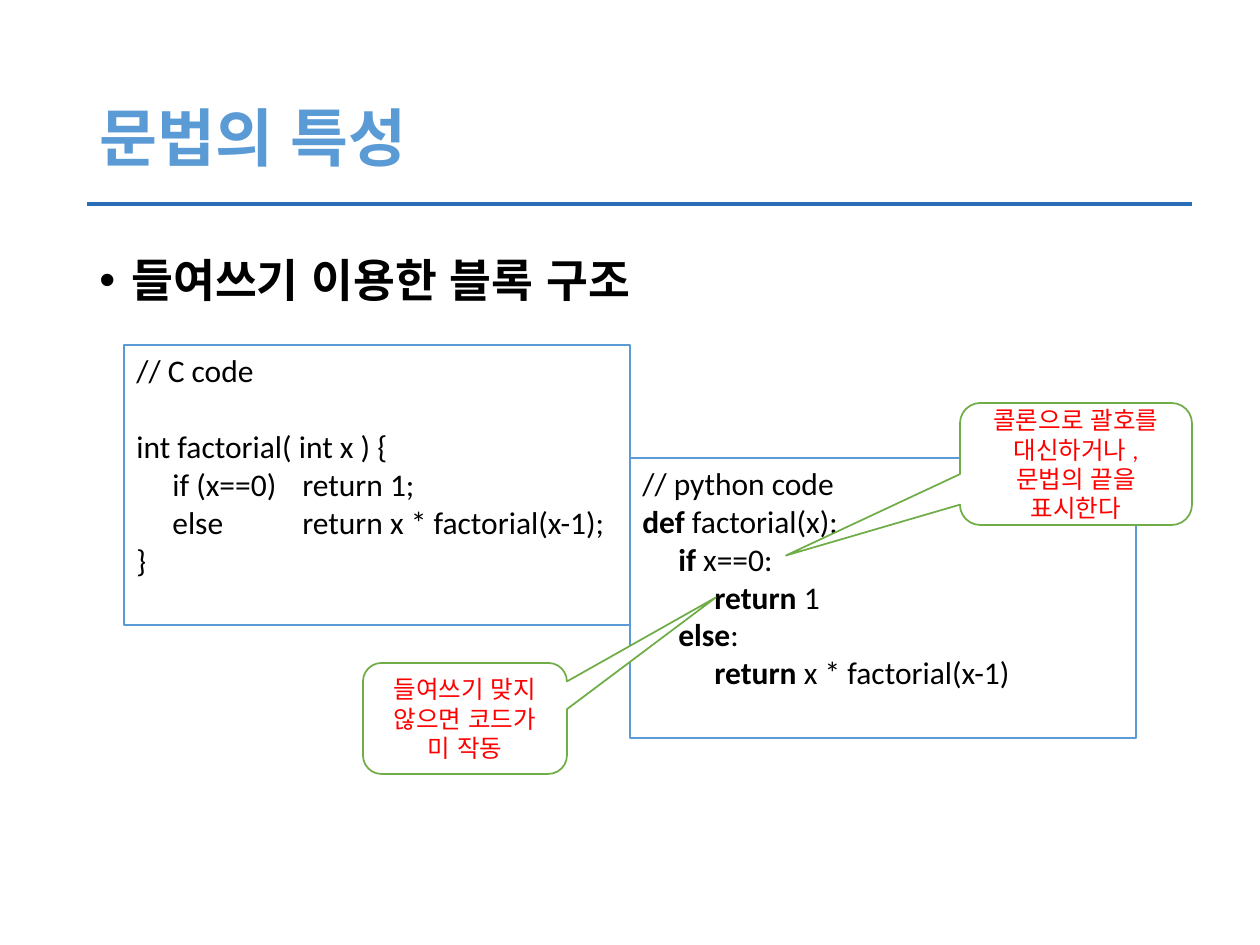
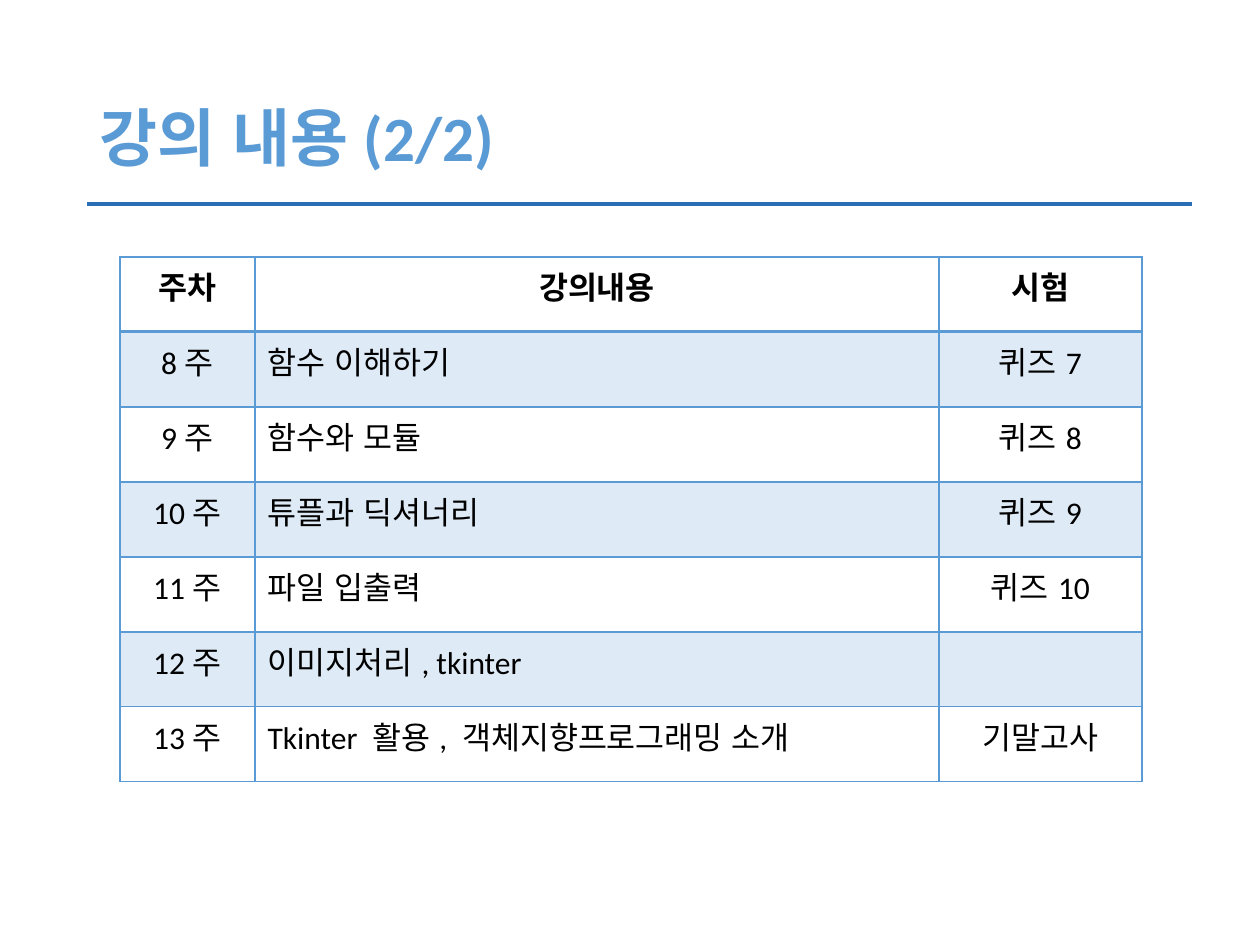
from collections import namedtuple
from dataclasses import dataclass

from lxml.etree import SubElement
from pptx import Presentation
from pptx.dml.color import RGBColor
from pptx.enum.lang import MSO_LANGUAGE_ID as Language
from pptx.enum.shapes import MSO_CONNECTOR as Connector, MSO_SHAPE as Shape
from pptx.enum.text import MSO_ANCHOR as Anchor, PP_ALIGN as Align
from pptx.oxml.ns import qn
from pptx.util import Emu, Pt

Box = namedtuple("Box", "left top width height")


@dataclass(frozen=True)
class Theme:
    font: str = "Calibri"
    ink: str = "000000"
    paper: str = "FFFFFF"
    blue: str = "5B9BD5"
    pale_blue: str = "DEEBF7"
    rule: str = "2A6FB5"
    green: str = "70AD47"
    red: str = "FF0000"
    title_size: int = 36
    topic_size: int = 26
    body_size: int = 18
    note_size: int = 14


THEME = Theme()
TITLE_BOX = Box(87, 50, 1086, 183)
RULE_BOX = Box(87, 204, 1105, 0)
TAB_STOPS = (36, 72, 166)

C_CODE = (
    "// C code",
    "int factorial( int x ) {",
    "\tif (x==0)\treturn 1;",
    "\telse\treturn x * factorial(x-1);",
    "}",
)
PYTHON_CODE = (
    "// python code",
    "|def| factorial(x):",
    "\t|if| x==0:",
    "\t\t|return| 1",
    "\t|else|:",
    "\t\t|return| x * factorial(x-1)",
)
SCHEDULE = (
    ("주차", "강의내용", "시험"),
    ("8주", "함수 이해하기", "퀴즈7"),
    ("9주", "함수와 모듈", "퀴즈8"),
    ("10주", "튜플과 딕셔너리", "퀴즈9"),
    ("11주", "파일 입출력", "퀴즈10"),
    ("12주", "이미지처리, tkinter", ""),
    ("13주", "Tkinter 활용, 객체지향프로그래밍 소개", "기말고사"),
)


def px(length):
    return Emu(length * 914400 // 126)


def place(box):
    return [px(length) for length in box]


def color(code):
    return RGBColor.from_string(code)


def write(frame, *lines, size=THEME.body_size, ink=THEME.ink, bold=False,
          align=Align.LEFT, anchor=Anchor.TOP, spacing=1.0):
    """Write one paragraph per line; text between bars switches boldness."""
    frame.word_wrap = True
    frame.vertical_anchor = anchor
    for number, line in enumerate(lines):
        para = frame.add_paragraph() if number else frame.paragraphs[0]
        para.alignment = align
        para.line_spacing = spacing
        for part, text in enumerate(line.split("|")):
            if not text:
                continue
            span = para.add_run()
            span.text = text
            font = span.font
            font.name, font.size = THEME.font, Pt(size)
            font.bold = bold != (part % 2 == 1)
            font.color.rgb = color(ink)
            font.language_id = Language.KOREAN
    return frame.paragraphs


def add_panel(page, kind, box, outline):
    panel = page.shapes.add_shape(kind, *place(box))
    panel.shadow.inherit = False
    panel.fill.solid()
    panel.fill.fore_color.rgb = color(THEME.paper)
    panel.line.color.rgb = color(outline)
    panel.line.width = Pt(1)
    return panel


# Title and rule shared by every page
def add_page(deck, title):
    page = deck.slides.add_slide(deck.slide_layouts[6])
    heading = page.shapes.add_textbox(*place(TITLE_BOX))
    write(heading.text_frame, title, size=THEME.title_size, ink=THEME.blue,
          bold=True, anchor=Anchor.MIDDLE, spacing=0.9)
    left, top, width, _ = RULE_BOX
    rule = page.shapes.add_connector(
        Connector.STRAIGHT, *place((left + width, top, left, top)))
    rule.line.color.rgb = color(THEME.rule)
    rule.line.width = Pt(2.25)
    SubElement(rule._element.spPr, qn("a:effectLst"))
    return page


# Bulleted topic line
def add_topic(page, box, text):
    topic = page.shapes.add_textbox(*place(box))
    para = write(topic.text_frame, text, size=THEME.topic_size, bold=True,
                 spacing=0.9)[0]
    para.space_before = Pt(10)
    props = para._p.get_or_add_pPr()
    indent = px(32)
    props.set("marL", str(indent))
    props.set("indent", str(-indent))
    SubElement(props, qn("a:buFont"), typeface="Arial")
    SubElement(props, qn("a:buChar"), char="•")


# Code listing, indented with tab stops
def add_code(page, box, lines, gap_after_heading=0):
    panel = add_panel(page, Shape.RECTANGLE, box, THEME.blue)
    paras = write(panel.text_frame, *lines)
    paras[1].space_before = Pt(gap_after_heading)
    for para in paras:
        stops = SubElement(para._p.get_or_add_pPr(), qn("a:tabLst"))
        for stop in TAB_STOPS:
            SubElement(stops, qn("a:tab"), pos=str(px(stop)), algn="l")


# Speech bubble whose tip is an offset from its centre, in box sizes
def add_callout(page, box, text, tip):
    bubble = add_panel(page, Shape.ROUNDED_RECTANGULAR_CALLOUT, box,
                       THEME.green)
    bubble.adjustments[0], bubble.adjustments[1] = tip
    write(bubble.text_frame, text, size=THEME.note_size, ink=THEME.red,
          align=Align.CENTER, anchor=Anchor.MIDDLE)


def set_borders(cell, **widths):
    props = cell._tc.get_or_add_tcPr()
    for order, side in enumerate("LRTB"):
        edge = SubElement(props, qn(f"a:ln{side}"),
                          w=str(Pt(widths.get(side, 1))))
        fill = SubElement(edge, qn("a:solidFill"))
        SubElement(fill, qn("a:srgbClr"), val=THEME.blue)
        props.insert(order, edge)


# Weekly schedule
def add_schedule(page, box, rows, column_widths):
    table = page.shapes.add_table(
        len(rows), len(column_widths), *place(box)).table
    table.first_row = table.horz_banding = False
    for column, width in zip(table.columns, column_widths):
        column.width = px(width)
    for r, row in enumerate(rows):
        table.rows[r].height = px(box.height // len(rows))
        for c, text in enumerate(row):
            cell = table.cell(r, c)
            cell.fill.solid()
            cell.fill.fore_color.rgb = color(
                THEME.pale_blue if r % 2 else THEME.paper)
            set_borders(cell, T=2 if r == 1 else 1, B=2 if r == 0 else 1)
            left_aligned = r > 0 and c == 1
            write(cell.text_frame, text, bold=r == 0,
                  align=Align.LEFT if left_aligned else Align.CENTER)


def build_syntax_page(deck):
    page = add_page(deck, "문법의 특성")
    add_topic(page, Box(87, 252, 1086, 600), "들여쓰기 이용한 블록 구조")
    add_code(page, Box(630, 458, 506, 280), PYTHON_CODE)
    add_code(page, Box(124, 345, 506, 280), C_CODE, gap_after_heading=22)
    add_callout(page, Box(363, 663, 204, 111),
                "들여쓰기 맞지 않으면 코드가 미 작동", tip=(1.23, -1.09))
    add_callout(page, Box(960, 403, 232, 122),
                "콜론으로 괄호를 대신하거나, 문법의 끝을 표시한다",
                tip=(-1.25, 0.75))


def build_schedule_page(deck):
    page = add_page(deck, "강의 내용(2/2)")
    add_schedule(page, Box(120, 257, 1022, 525), SCHEDULE, (135, 684, 203))


def main():
    deck = Presentation()
    deck.slide_width, deck.slide_height = px(1260), px(945)
    build_syntax_page(deck)
    build_schedule_page(deck)
    deck.save("out.pptx")


if __name__ == "__main__":
    main()
